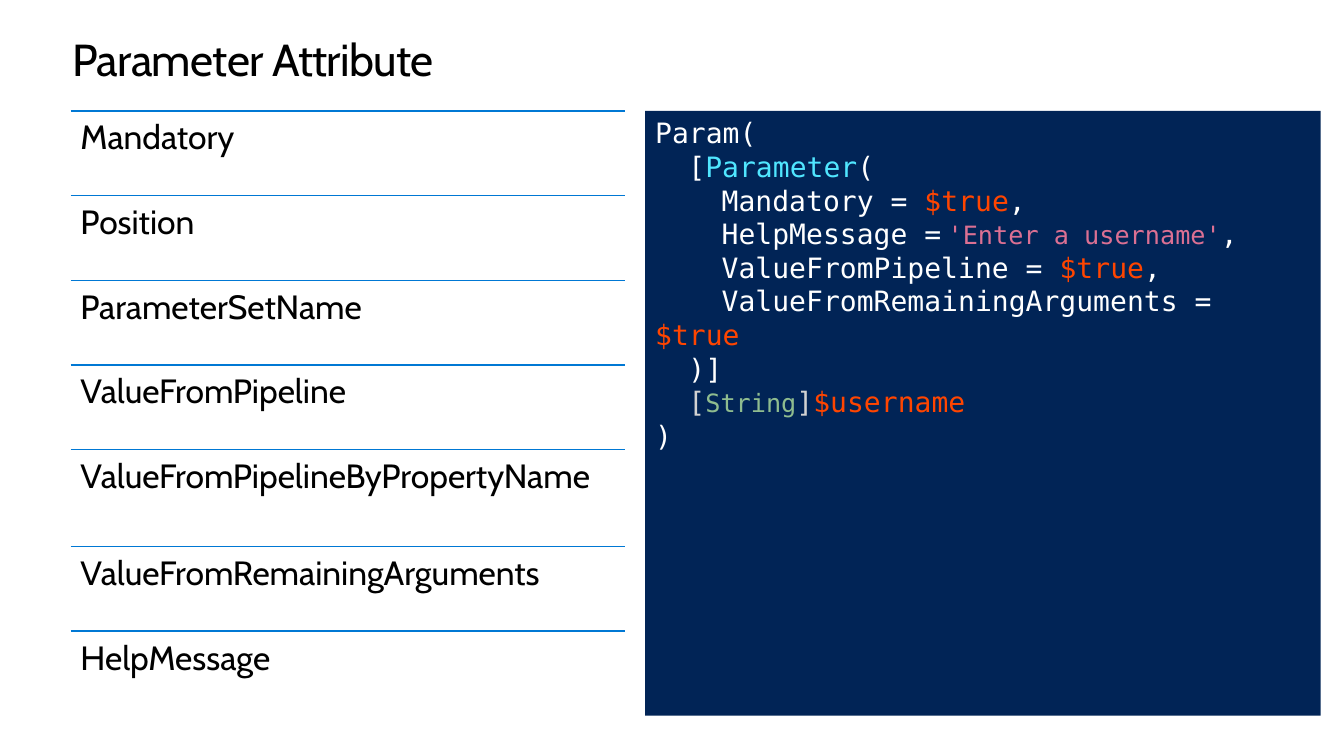
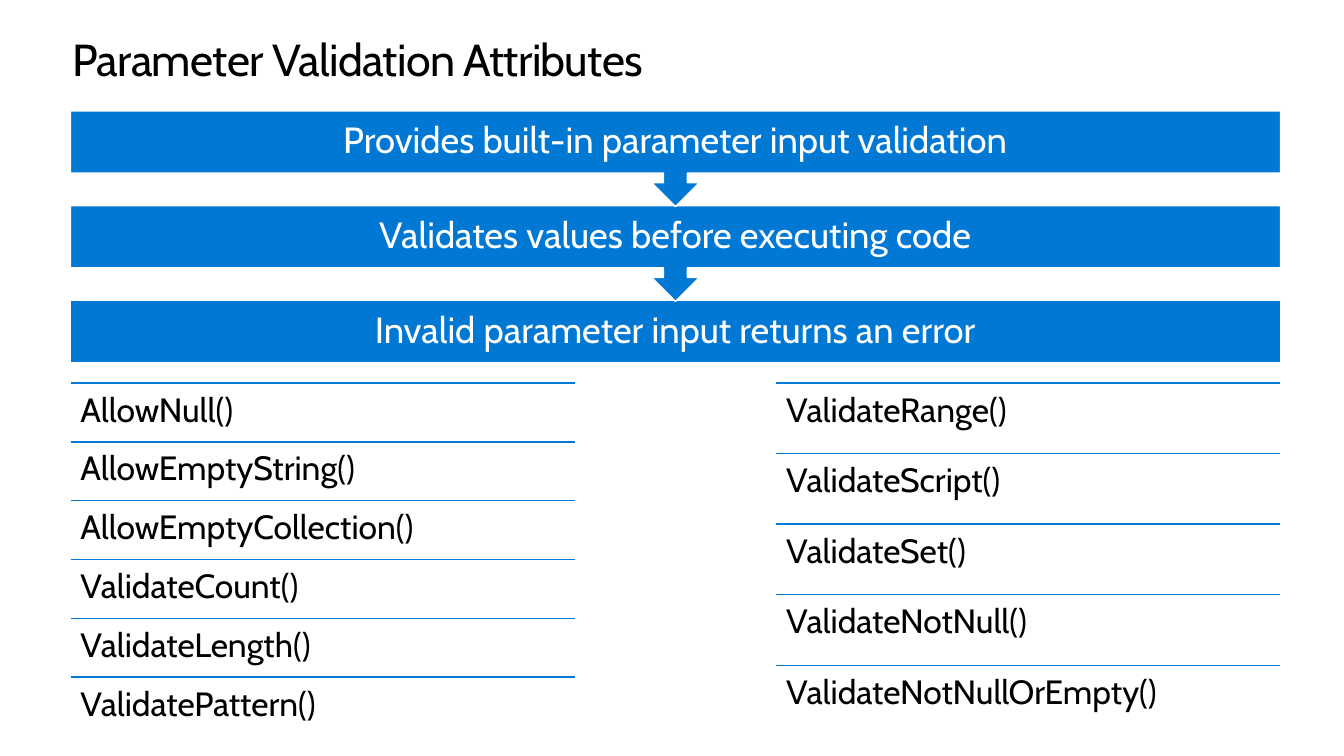
from dataclasses import dataclass

from lxml.etree import SubElement
from pptx import Presentation
from pptx.dml.color import RGBColor
from pptx.enum.shapes import MSO_CONNECTOR, MSO_SHAPE
from pptx.enum.text import MSO_ANCHOR, PP_ALIGN
from pptx.oxml.ns import qn
from pptx.util import Emu, Pt

EMU_PER_PX = 9144  # 100 px to the inch


@dataclass(frozen=True)
class Theme:
    body_font: str = "Cabin"
    code_font: str = "DejaVu Sans Mono"
    title_size: int = 32
    step_size: int = 26
    row_size: int = 24
    code_size: int = 20
    literal_size: int = 18
    text: str = "000000"
    white: str = "FFFFFF"
    accent: str = "0078D4"
    code_panel: str = "012456"
    attribute: str = "50E6FF"
    variable: str = "FF4500"
    string: str = "DB7093"
    bracket: str = "D2D2D2"
    type_name: str = "8FBC8F"


THEME = Theme()

# Code run styles: colour, size, font
CODE_STYLES = {
    "plain": (THEME.white, THEME.code_size, THEME.code_font),
    "gap": (THEME.white, THEME.code_size, THEME.body_font),
    "attribute": (THEME.attribute, THEME.code_size, THEME.code_font),
    "variable": (THEME.variable, THEME.code_size, THEME.code_font),
    "string": (THEME.string, THEME.literal_size, THEME.code_font),
    "bracket": (THEME.bracket, THEME.code_size, THEME.code_font),
    "type": (THEME.type_name, THEME.literal_size, THEME.code_font),
}
CODE_INDENT = 33

TITLE_BOX = (72, 35, 1190, 50)

PARAMETER_ARGUMENTS = [
    "Mandatory", "Position", "ParameterSetName", "ValueFromPipeline",
    "ValueFromPipelineByPropertyName", "ValueFromRemainingArguments",
    "HelpMessage",
]

# Each line: indent level, then (text, style) runs
PARAM_CODE = [
    (0, [("Param(", "plain")]),
    (1, [("[", "plain"), ("Parameter", "attribute"), ("(", "plain")]),
    (2, [("Mandatory = ", "plain"), ("$true", "variable"), (",", "plain")]),
    (2, [("HelpMessage =", "plain"), (" ", "gap"),
         ("'Enter a username'", "string"), (",", "plain")]),
    (2, [("ValueFromPipeline = ", "plain"), ("$true", "variable"),
         (",", "plain")]),
    (2, [("ValueFromRemainingArguments = ", "plain"), ("$true", "variable")]),
    (1, [(")]", "plain")]),
    (1, [("[", "bracket"), ("String", "type"), ("]", "bracket"),
         ("$username", "variable")]),
    (0, [(")", "plain")]),
]

VALIDATION_STEPS = [
    "Provides built-in parameter input validation",
    "Validates values before executing code",
    "Invalid parameter input returns an error",
]
ALLOW_AND_SIZE_CHECKS = [
    "AllowNull()", "AllowEmptyString()", "AllowEmptyCollection()",
    "ValidateCount()", "ValidateLength()", "ValidatePattern()",
]
VALUE_CHECKS = [
    "ValidateRange()", "ValidateScript()", "ValidateSet()",
    "ValidateNotNull()", "ValidateNotNullOrEmpty()",
]


def px(*lengths):
    return [Emu(round(length * EMU_PER_PX)) for length in lengths]


def rgb(color):
    return RGBColor.from_string(color)


def style_run(run, color, size, font=THEME.body_font):
    run.font.name = font
    run.font.size = Pt(size)
    run.font.color.rgb = rgb(color)


def set_margins(frame, left_right, top_bottom):
    frame.margin_left = frame.margin_right = px(left_right)[0]
    frame.margin_top = frame.margin_bottom = px(top_bottom)[0]


def write_line(frame, text, color, size, spacing):
    """Fill a frame with one paragraph and return its run."""
    frame.text = text
    paragraph = frame.paragraphs[0]
    paragraph.line_spacing = spacing
    style_run(paragraph.runs[0], color, size)
    return paragraph.runs[0]


def add_panel(slide, preset, box, fill, outline=None):
    panel = slide.shapes.add_shape(preset, *px(*box))
    panel.shadow.inherit = False
    panel.fill.solid()
    panel.fill.fore_color.rgb = rgb(fill)
    if outline:
        panel.line.color.rgb = rgb(outline)
        panel.line.width = Pt(1)
    else:
        panel.line.fill.background()
    panel.text_frame.word_wrap = True
    return panel


def add_title(slide, title):
    frame = slide.shapes.add_textbox(*px(*TITLE_BOX)).text_frame
    frame.word_wrap = True
    set_margins(frame, 0, 0)
    run = write_line(frame, title, THEME.text, THEME.title_size, Pt(36.2))
    run.font._element.set("spc", "-50")


def add_rule(slide, left, top, width):
    rule = slide.shapes.add_connector(
        MSO_CONNECTOR.STRAIGHT, *px(left, top, left + width, top))
    rule.line.color.rgb = rgb(THEME.accent)
    rule.line.width = Pt(1)
    SubElement(rule._element.spPr, qn("a:effectLst"))


def add_ruled_list(slide, box, items, tall_item=None, extra=0):
    """Share the box between ruled rows; the tall item gets extra height."""
    left, top, width, height = box
    row_height = (height - extra) / len(items)
    for item in items:
        item_height = row_height + (extra if item == tall_item else 0)
        add_rule(slide, left, top, width)
        row = slide.shapes.add_textbox(*px(left, top, width, item_height))
        row.text_frame.word_wrap = True
        set_margins(row.text_frame, 10, 10)
        write_line(row.text_frame, item, THEME.text, THEME.row_size, 0.9)
        top += item_height


def add_code_panel(slide, box, code):
    frame = add_panel(slide, MSO_SHAPE.RECTANGLE, box,
                      THEME.code_panel).text_frame
    frame.vertical_anchor = MSO_ANCHOR.TOP
    set_margins(frame, 10, 5)
    for number, (level, runs) in enumerate(code):
        line = frame.add_paragraph() if number else frame.paragraphs[0]
        line.alignment = PP_ALIGN.LEFT
        properties = line._p.get_or_add_pPr()
        properties.set("marL", "0")
        properties.set("indent", str(px(level * CODE_INDENT)[0]))
        for text, style in runs:
            run = line.add_run()
            run.text = text
            style_run(run, *CODE_STYLES[style])


def add_step_flow(slide, box, steps, bar_height=62):
    """Stack the steps, each but the last pointing down to the next."""
    left, top, width, height = box
    pitch = (height - bar_height) / (len(steps) - 1)
    last = len(steps) - 1
    for number in range(last, -1, -1):
        is_last = number == last
        preset = (MSO_SHAPE.RECTANGLE if is_last
                  else MSO_SHAPE.DOWN_ARROW_CALLOUT)
        step_height = bar_height if is_last else pitch + 1
        step = add_panel(slide, preset,
                         (left, top + number * pitch, width, step_height),
                         THEME.accent, THEME.white)
        frame = step.text_frame
        frame.vertical_anchor = MSO_ANCHOR.MIDDLE
        set_margins(frame, 20, 0)
        write_line(frame, steps[number], THEME.white, THEME.step_size, 0.9)
        frame.paragraphs[0].alignment = PP_ALIGN.CENTER


def build_attribute_slide(slide):
    add_title(slide, "Parameter Attribute")
    add_ruled_list(slide, (70, 110, 550, 600), PARAMETER_ARGUMENTS,
                   tall_item="ValueFromPipelineByPropertyName", extra=12)
    add_code_panel(slide, (640, 110, 670, 600), PARAM_CODE)


def build_validation_slide(slide):
    add_title(slide, "Parameter Validation Attributes")
    add_step_flow(slide, (70, 110, 1200, 250), VALIDATION_STEPS)
    for left, checks in ((70, ALLOW_AND_SIZE_CHECKS), (770, VALUE_CHECKS)):
        add_ruled_list(slide, (left, 380, 500, 350), checks)


def main():
    presentation = Presentation()
    presentation.slide_width, presentation.slide_height = px(1333, 750)
    blank = presentation.slide_layouts[6]
    for build in (build_attribute_slide, build_validation_slide):
        build(presentation.slides.add_slide(blank))
    presentation.save("out.pptx")


if __name__ == "__main__":
    main()
